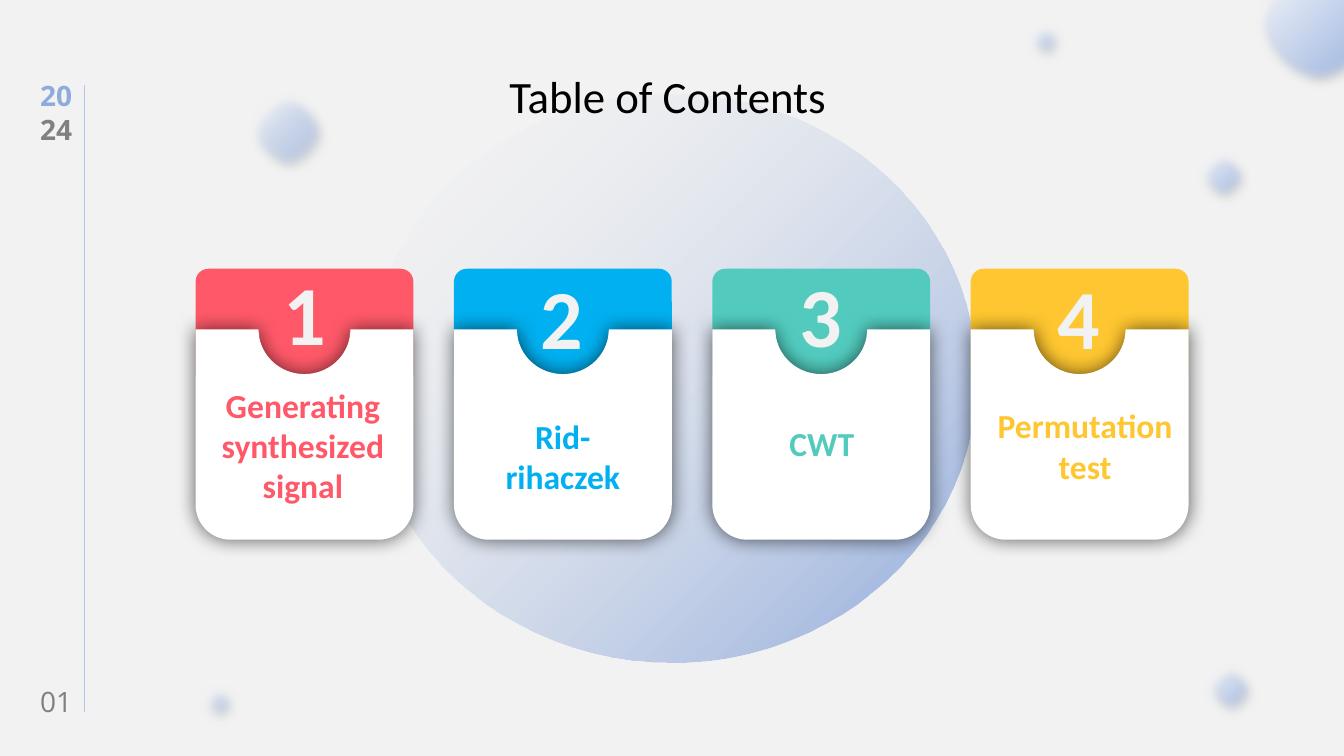
"""Build a table of contents slide with four numbered cards."""
from lxml import etree
from pptx import Presentation
from pptx.dml.color import RGBColor
from pptx.enum.shapes import MSO_CONNECTOR, MSO_SHAPE
from pptx.enum.text import MSO_ANCHOR, PP_ALIGN
from pptx.oxml import parse_xml
from pptx.oxml.ns import nsdecls, qn
from pptx.util import Pt

STRAIGHT = MSO_CONNECTOR.STRAIGHT
ELLIPSE = MSO_SHAPE.OVAL
CARD_TOP = MSO_SHAPE.ROUND_2_SAME_RECTANGLE
LEFT, CENTER = PP_ALIGN.LEFT, PP_ALIGN.CENTER
TOP = MSO_ANCHOR.TOP

PALE, BLUE, GREY = "F2F2F2", "8FAADC", "808080"
SHADOW = (
    f'<a:outerShdw {nsdecls("a")} blurRad="%d" dist="%d" dir="%d" algn="ctr" rotWithShape="0">'
    '<a:srgbClr val="000000"><a:alpha val="%d"/></a:srgbClr></a:outerShdw>'
)
BUBBLE_SHADOW = SHADOW % (Pt(4), Pt(4), 60 * 60000, 12000)
CARD_SHADOW = SHADOW % (Pt(14), 0, 0, 60000)


def rgb(hex_value):
    return RGBColor.from_string(hex_value)


def write(box, lines, font_name, size, bold, align):
    frame = box.text_frame
    frame.word_wrap = True
    frame.vertical_anchor = TOP
    for index, (words, color) in enumerate(lines):
        paragraph = frame.add_paragraph() if index else frame.paragraphs[0]
        paragraph.alignment = align
        run = paragraph.add_run()
        run.text = words
        run.font.name = font_name
        run.font.size = Pt(size)
        run.font.bold = bold
        run.font.color.rgb = rgb(color)


prs = Presentation()
prs.slide_width, prs.slide_height = Pt(960), Pt(540)
slide = prs.slides.add_slide(prs.slide_layouts[5])
slide.background.fill.solid()
slide.background.fill.fore_color.rgb = rgb(PALE)
shapes = slide.shapes

margin_rule = shapes.add_connector(STRAIGHT, Pt(60), Pt(60.5), Pt(60), Pt(508.5))
margin_rule.line.color.rgb = rgb("B4C7E7")
margin_rule.line.width = Pt(0.25)
etree.SubElement(margin_rule.element.spPr, qn("a:effectLst"))

# left, top, width, height, end colour, opacity at both ends
discs = [
    (262, 66.7, 435.6, 406.5, PALE, (100, 0)),
    (175.2, 63.6, 61.2, 61.2, "FEFEFE", (63, 100)),
    (139.9, 485.5, 33.1, 33.1, "FEFEFE", (100, 100)),
    (895.7, -29.5, 92.2, 92.2, "FEFEFE", (100, 100)),
    (852.5, 104.4, 42.5, 42.5, "FEFEFE", (100, 100)),
    (730, 12.4, 33.1, 33.1, "FEFEFE", (100, 100)),
    (857.5, 471, 42.5, 42.5, "FEFEFE", (100, 100)),
]
for left, top, width, height, end_color, opacities in discs:
    disc = shapes.add_shape(ELLIPSE, Pt(left), Pt(top), Pt(width), Pt(height))
    disc.line.fill.background()
    disc.fill.gradient()
    disc.fill.gradient_angle = 135
    end_position = 1 if end_color == PALE else 0.99
    for stop, color, position in zip(
        disc.fill.gradient_stops, (BLUE, end_color), (0, end_position)
    ):
        stop.color.rgb = rgb(color)
        stop.position = position
    for tone, opacity in zip(disc.element.spPr.iter(qn("a:srgbClr")), opacities):
        if opacity < 100:
            etree.SubElement(tone, qn("a:alpha")).set("val", str(opacity * 1000))
    disc.shadow.inherit = False
    if end_color != PALE:
        effects = disc.element.spPr.find(qn("a:effectLst"))
        effects.append(parse_xml(BUBBLE_SHADOW))
        etree.SubElement(effects, qn("a:softEdge")).set("rad", str(Pt(8)))

year = shapes.add_textbox(Pt(21.6), Pt(52.6), Pt(45.4), Pt(55.4))
write(year, [("20", BLUE), ("24", GREY)], "Open Sans", 20, True, LEFT)
page = shapes.add_textbox(Pt(21.6), Pt(485.3), Pt(45.4), Pt(31.7))
write(page, [("01", GREY)], "Open Sans", 20, False, LEFT)

title = shapes.title
title.left, title.top, title.width, title.height = Pt(236.5), Pt(45.4), Pt(481), Pt(46)
write(title, [("Table of Contents", "000000")], "Calibri", 32, False, CENTER)
title.element.getparent().append(title.element)

CARD_LEFT, CARD_PITCH, CARD_WIDTH, CARD_HEIGHT = 139.7, 184.56, 155.6, 150.2
BODY_TOP = 235.3
# offsets from the corner of the card body: one point is a line, three are a curve
BODY_OUTLINE = [
    [(44.9, 0)],
    [(45.5, 5.8)],
    [(48.5, 21), (61.9, 31.9), (77.8, 31.9)],
    [(93.7, 31.9), (107.1, 21), (110.1, 5.8)],
    [(110.7, 0)],
    [(CARD_WIDTH, 0)],
    [(CARD_WIDTH, 125.2)],
    [(CARD_WIDTH, 139), (144.4, CARD_HEIGHT), (130.6, CARD_HEIGHT)],
    [(25, CARD_HEIGHT)],
    [(11.2, CARD_HEIGHT), (0, 139), (0, 125.2)],
]
# caption, colour, number left and top, caption left, top, width, height
cards = [
    ("Generating synthesized signal", "FF5969", 174.3, 183.6, 144, 271.2, 144.7, 94.3),
    ("Rid-rihaczek", "00B0F0", 357.9, 185.8, 339.4, 293.3, 125.3, 65.5),
    ("CWT", "52CBBE", 543, 184.5, 524.4, 298.4, 125.3, 36),
    ("Permutation test", "FEC630", 726.7, 185.8, 704.9, 285.9, 140.4, 65.5),
]
for index, (caption, color, number_left, number_top, *caption_place) in enumerate(cards):
    left = CARD_LEFT + index * CARD_PITCH
    card = shapes.add_group_shape().shapes

    header = card.add_shape(CARD_TOP, Pt(left), Pt(192), Pt(CARD_WIDTH), Pt(76.3))
    header.adjustments[0] = 0.12
    header.fill.solid()
    header.fill.fore_color.rgb = rgb(color)
    header.line.fill.background()
    header.shadow.inherit = False

    number = card.add_textbox(Pt(number_left), Pt(number_top), Pt(87.1), Pt(80))
    write(number, [(str(index + 1), PALE)], "Calibri", 60, True, CENTER)

    outline = card.build_freeform(Pt(left), Pt(BODY_TOP))
    outline.add_line_segments(
        [(Pt(left + x), Pt(BODY_TOP + y)) for step in BODY_OUTLINE for x, y in step]
    )
    body = outline.convert_to_shape()
    segments = iter(list(body.element.spPr.iter(qn("a:lnTo"))))
    for step in BODY_OUTLINE:
        parts = [next(segments) for point in step]
        if len(parts) == 3:
            curve = etree.Element(qn("a:cubicBezTo"))
            parts[0].addprevious(curve)
            for part in parts:
                curve.append(part[0])
                part.getparent().remove(part)
    etree.SubElement(curve.getparent(), qn("a:close"))
    body.fill.solid()
    body.fill.fore_color.rgb = rgb("FFFFFF")
    body.line.fill.background()
    body.shadow.inherit = False
    body.element.spPr.find(qn("a:effectLst")).append(parse_xml(CARD_SHADOW))

    label = card.add_textbox(*map(Pt, caption_place))
    write(label, [(caption, color)], "Calibri", 24, True, CENTER)

prs.save("out.pptx")
